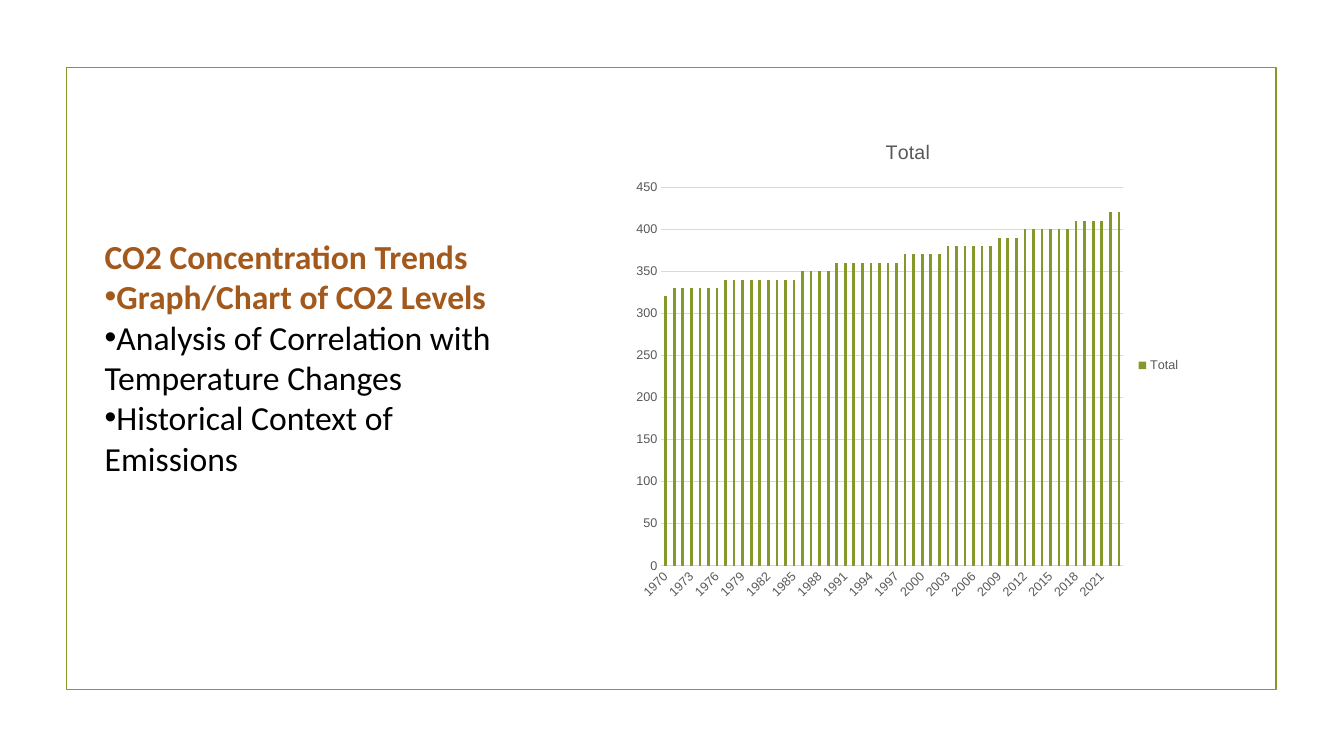
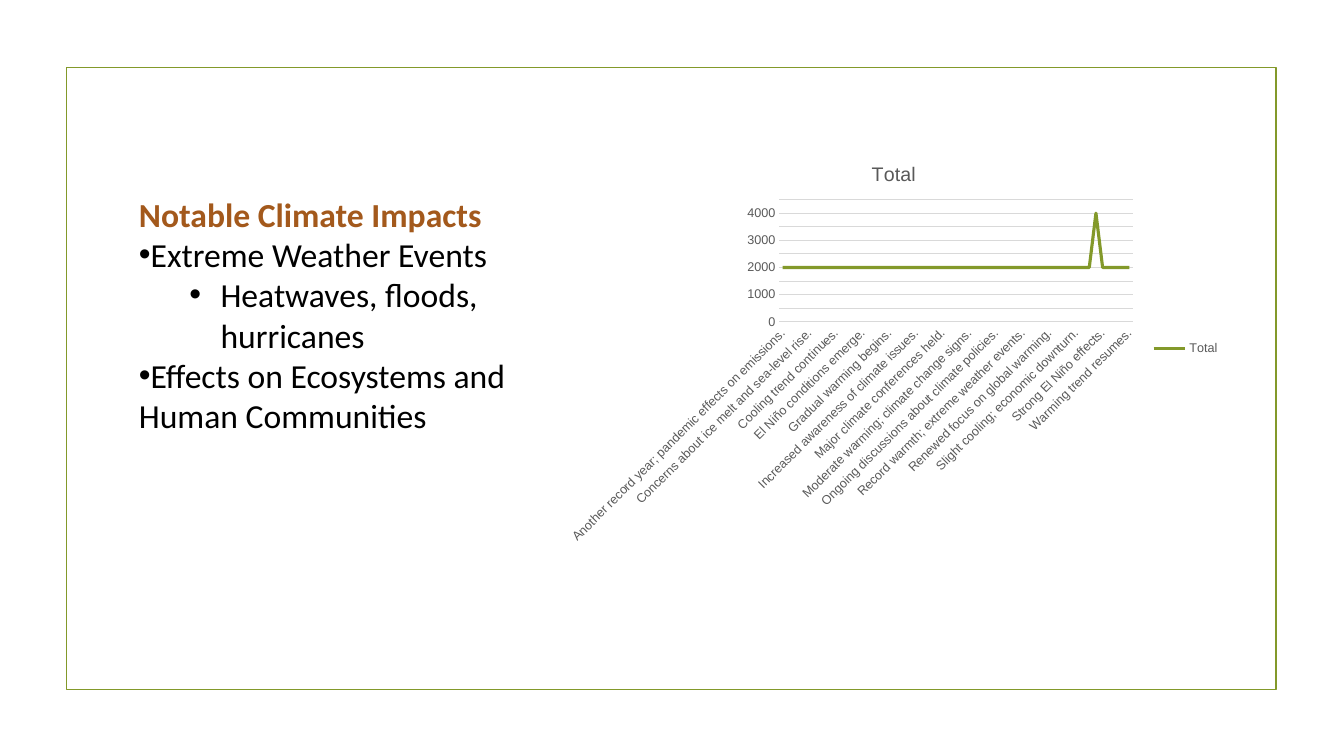
from dataclasses import dataclass

import lxml.etree
import pptx
import pptx.chart.data
import pptx.dml.color
import pptx.enum.chart
import pptx.enum.shapes
import pptx.enum.text
import pptx.oxml.ns
import pptx.util

Inches = pptx.util.Inches
Pt = pptx.util.Pt
RGBColor = pptx.dml.color.RGBColor
ChartType = pptx.enum.chart.XL_CHART_TYPE
qn = pptx.oxml.ns.qn

GREEN = RGBColor(0x83, 0x99, 0x2A)
BROWN = RGBColor(0xA3, 0x59, 0x1C)
BLACK = RGBColor(0x00, 0x00, 0x00)
GREY = RGBColor(0x59, 0x59, 0x59)
PALE_GREY = RGBColor(0xD9, 0xD9, 0xD9)
TEXT_FONT = "Calibri"
CHART_FONT = "Arial"


@dataclass(frozen=True)
class Box:
    left: float
    top: float
    width: float
    height: float

    def lengths(self) -> tuple:
        return tuple(Inches(v) for v in (self.left, self.top, self.width, self.height))


@dataclass(frozen=True)
class Line:
    text: str
    bullet: bool = True
    strong: bool = False
    level: int = 0


@dataclass(frozen=True)
class ChartSpec:
    kind: ChartType
    box: Box
    categories: list[str]
    values: list[int]
    axis_max: int
    axis_step: int


@dataclass(frozen=True)
class SlideSpec:
    text_box: Box
    lines: list[Line]
    chart: ChartSpec


FRAME = Box(0.66, 0.67, 12, 6.17)
INDENTS = {0: (0, -0.17), 1: (0.81, -0.31)}

YEARS = [str(year) for year in range(1970, 2024)]
CO2_LEVELS = [
    320, 330, 330, 330, 330, 330, 330, 340, 340, 340, 340, 340, 340, 340,
    340, 340, 350, 350, 350, 350, 360, 360, 360, 360, 360, 360, 360, 360,
    370, 370, 370, 370, 370, 380, 380, 380, 380, 380, 380, 390, 390, 390,
    400, 400, 400, 400, 400, 400, 410, 410, 410, 410, 420, 420,
]

IMPACTS = [
    "Another record year; pandemic effects on emissions.",
    "Climate change impacts felt globally.",
    "Climate negotiations continue.",
    "Cold phase; La Niña influence.",
    "Concerns about ice melt and sea-level rise.",
    "Continued extreme weather events.",
    "Continued warming observed.",
    "Cooling begins after El Niño peak.",
    "Cooling trend continues.",
    "Discussions on net-zero targets.",
    "Early signs of anthropogenic warming.",
    "Early signs of climate change impacts.",
    "El Niño conditions emerge.",
    "Extreme heat waves reported.",
    "Extreme weather events noted globally.",
    "Focus on climate change discussions.",
    "Gradual warming begins.",
    "Growing greenhouse gas emissions.",
    "Hottest year on record at that time.",
    "Hottest year recorded at the time.",
    "Increased awareness of climate issues.",
    "Increased climate activism and awareness.",
    "Increasing climate research.",
    "International climate discussions begin.",
    "Major climate conferences held.",
    "Major climate protests; increased activism.",
    "Major year for climate awareness.",
    "Minor fluctuations; La Niña effects.",
    "Moderate warming; climate change signs.",
    "Mount Pinatubo eruption; temporary cooling.",
    "One of the warmest years; extreme weather.",
    "Ongoing climate discussions; warming persists.",
    "Ongoing discussions about climate policies.",
    "Ongoing effects of climate change evident.",
    "Ongoing warming; policy discussions intensify.",
    "Public awareness of climate change grows.",
    "Record warmth; extreme weather events.",
    "Record warmth; significant climate summits.",
    "Record-breaking temperatures; extreme weather.",
    "Recovery from cooling; warming resumes.",
    "Renewed focus on global warming.",
    "Significant climate action initiated.",
    "Significant climate events linked to rising temperatures.",
    "Significant warmth worldwide.",
    "Slight cooling; economic downturn.",
    "Slight cooling; La Niña conditions.",
    "Slight cooling; variability noted.",
    "Stability in temperatures.",
    "Strong El Niño effects.",
    "Transition year; warming trend begins.",
    "Volcanic eruption (El Chichón).",
    "Warming trend evident; policy discussions.",
    "Warming trend resumes.",
]
PEAK_IMPACT = "Stability in temperatures."
IMPACT_TOTALS = [4000 if impact == PEAK_IMPACT else 2000 for impact in IMPACTS]

SLIDES = [
    SlideSpec(
        Box(0.94, 2.29, 4.05, 2.52),
        [
            Line("CO2 Concentration Trends", bullet=False, strong=True),
            Line("Graph/Chart of CO2 Levels", strong=True),
            Line("Analysis of Correlation with Temperature Changes"),
            Line("Historical Context of Emissions"),
        ],
        ChartSpec(ChartType.COLUMN_CLUSTERED, Box(6.2, 1.2, 5.61, 4.85),
                  YEARS, CO2_LEVELS, 450, 50),
    ),
    SlideSpec(
        Box(1.28, 1.87, 4.04, 2.52),
        [
            Line("Notable Climate Impacts", bullet=False, strong=True),
            Line("Extreme Weather Events"),
            Line("Heatwaves, floods, hurricanes", level=1),
            Line("Effects on Ecosystems and Human Communities"),
        ],
        ChartSpec(ChartType.LINE, Box(5.53, 1.43, 6.67, 4.05),
                  IMPACTS, IMPACT_TOTALS, 4500, 500),
    ),
]


def add_frame(s: pptx.slide.Slide) -> None:
    sp = s.shapes.add_shape(pptx.enum.shapes.MSO_SHAPE.RECTANGLE, *FRAME.lengths())
    sp.shadow.inherit = False
    sp.fill.background()
    sp.line.color.rgb = GREEN
    sp.line.width = Pt(1.25)


def set_bullet(p, level: int, color: RGBColor) -> None:
    margin, indent = INDENTS[level]
    p.level = level
    pPr = p._p.get_or_add_pPr()
    pPr.set("marL", str(Inches(margin)))
    pPr.set("indent", str(Inches(indent)))
    bu_color = lxml.etree.SubElement(pPr, qn("a:buClr"))
    lxml.etree.SubElement(bu_color, qn("a:srgbClr"), val=str(color))
    lxml.etree.SubElement(pPr, qn("a:buFont"), typeface="Arial")
    lxml.etree.SubElement(pPr, qn("a:buChar"), char="•")


def add_text(s: pptx.slide.Slide, box: Box, lines: list[Line]) -> None:
    tf = s.shapes.add_textbox(*box.lengths()).text_frame
    tf.word_wrap = True
    tf.auto_size = pptx.enum.text.MSO_AUTO_SIZE.SHAPE_TO_FIT_TEXT
    for i, line in enumerate(lines):
        p = tf.add_paragraph() if i else tf.paragraphs[0]
        color = BROWN if line.strong else BLACK
        if line.bullet:
            set_bullet(p, line.level, color)
        r = p.add_run()
        r.text = line.text
        style_font(r.font, 24, color, TEXT_FONT)
        r.font.bold = line.strong


def style_font(font: pptx.text.text.Font, size: int, color: RGBColor,
               name: str = CHART_FONT) -> None:
    font.name = name
    font.size = Pt(size)
    font.bold = False
    font.color.rgb = color


def style_axes(chart: pptx.chart.chart.Chart, spec: ChartSpec) -> None:
    cat_axis, val_axis = chart.category_axis, chart.value_axis
    for axis in (cat_axis, val_axis):
        axis.major_tick_mark = pptx.enum.chart.XL_TICK_MARK.NONE
        axis.minor_tick_mark = pptx.enum.chart.XL_TICK_MARK.NONE
        style_font(axis.tick_labels.font, 9, GREY)
    val_axis.minimum_scale = 0
    val_axis.maximum_scale = spec.axis_max
    val_axis.major_unit = spec.axis_step
    val_axis.format.line.fill.background()
    for line in (cat_axis.format.line, val_axis.major_gridlines.format.line):
        line.color.rgb = PALE_GREY
        line.width = Pt(0.75)
    label_body = chart.element.find(f".//{qn('c:catAx')}/{qn('c:txPr')}/{qn('a:bodyPr')}")
    label_body.set("rot", str(-45 * 60000))
    label_body.set("vert", "horz")


def add_chart(s: pptx.slide.Slide, spec: ChartSpec) -> None:
    data = pptx.chart.data.CategoryChartData()
    data.categories = spec.categories
    data.add_series("Total", spec.values)
    chart = s.shapes.add_chart(spec.kind, *spec.box.lengths(), data).chart
    style_font(chart.font, 10, BLACK)

    chart.has_title = True
    r = chart.chart_title.text_frame.paragraphs[0].add_run()
    r.text = "Total"
    style_font(r.font, 14, GREY)
    chart.chart_title.include_in_layout = False

    chart.has_legend = True
    chart.legend.position = pptx.enum.chart.XL_LEGEND_POSITION.RIGHT
    chart.legend.include_in_layout = False
    style_font(chart.legend.font, 9, GREY)
    style_axes(chart, spec)

    plot = chart.plots[0]
    plot.vary_by_categories = False
    series = plot.series[0]
    if spec.kind == ChartType.LINE:
        series.smooth = False
        series.marker.style = pptx.enum.chart.XL_MARKER_STYLE.NONE
        series.format.line.color.rgb = GREEN
        series.format.line.width = Pt(2.25)
    else:
        plot.gap_width = 219
        plot.overlap = -27
        series.format.fill.solid()
        series.format.fill.fore_color.rgb = GREEN


def main() -> None:
    prs = pptx.Presentation()
    prs.slide_width = Inches(13.33)
    prs.slide_height = Inches(7.5)
    blank = prs.slide_layouts.get_by_name("Blank")
    for spec in SLIDES:
        s = prs.slides.add_slide(blank)
        add_frame(s)
        add_text(s, spec.text_box, spec.lines)
        add_chart(s, spec.chart)
    prs.save("out.pptx")


if __name__ == "__main__":
    main()
